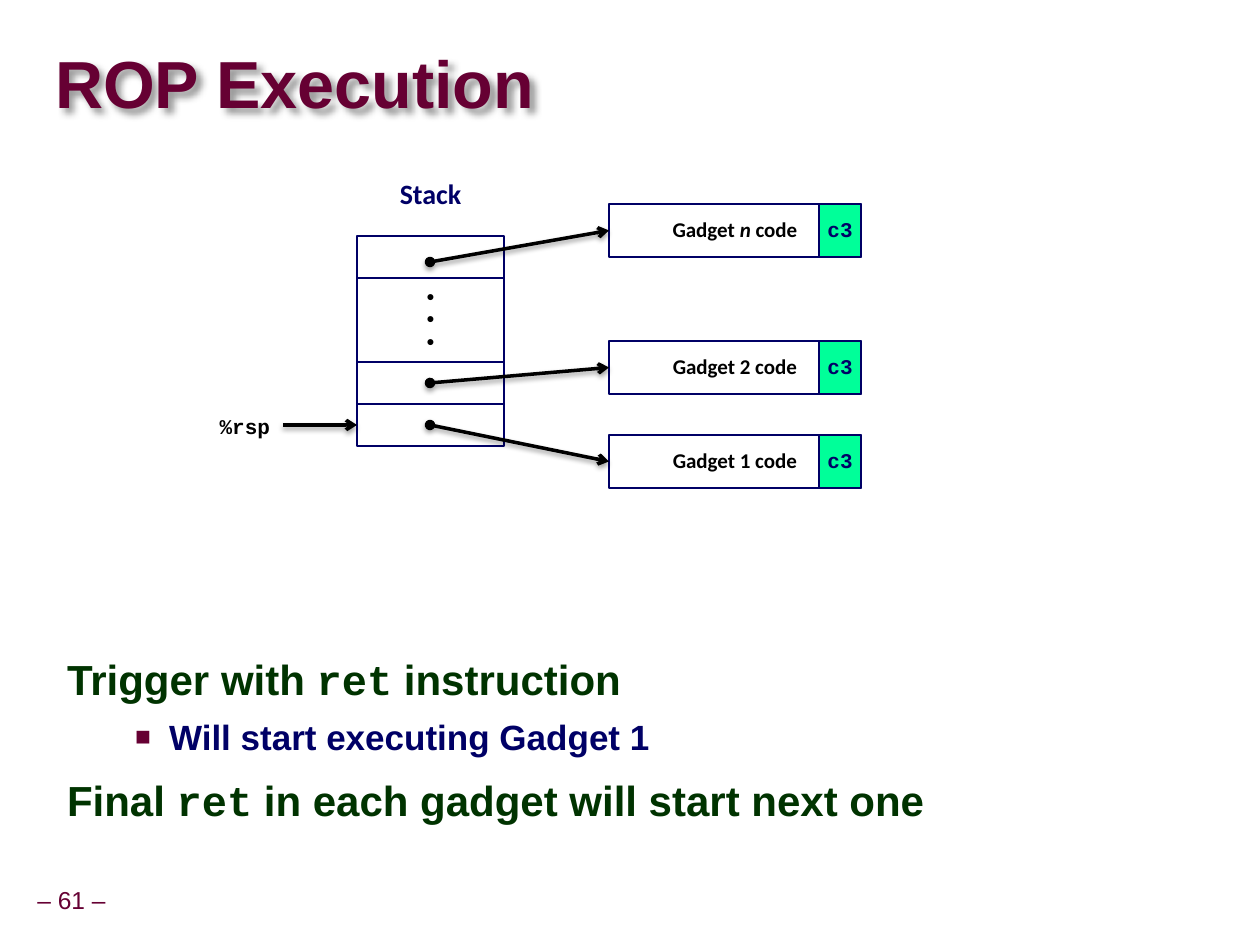
from pptx import Presentation, util as u
from pptx.dml.color import RGBColor
from pptx.enum import shapes, text
from pptx.oxml import parse_xml
from pptx.oxml.ns import nsdecls, qn

PX = 914400 / 126
COLORS = {"maroon": "660033", "green": "003300", "navy": "000066",
          "mint": "00FF99", "black": "000000"}
SANS, LABEL, MONO = "Arial", "Calibri", "Courier New"


def emu(*lengths):
    return [u.Emu(round(n * PX)) for n in lengths]


def rgb(name):
    return RGBColor.from_string(COLORS[name])


def element(xml):
    """Parse one DrawingML element written without its namespace."""
    head, gap, rest = xml.partition(" ")
    return parse_xml(f"{head} {nsdecls('a')} {rest}" if gap else
                     xml.replace("/>", f" {nsdecls('a')}/>"))


def add_shadow(sp, blur, dist, angle, alpha):
    sp._element.spPr.append(parse_xml(
        f'<a:effectLst {nsdecls("a")}><a:outerShdw blurRad="{u.Pt(blur)}" '
        f'dist="{u.Pt(dist)}" dir="{angle * 60000}" algn="tl" rotWithShape="0">'
        f'<a:srgbClr val="{COLORS["black"]}"><a:alpha val="{alpha * 1000}"/>'
        '</a:srgbClr></a:outerShdw></a:effectLst>'))


def add_run(p, words, size, font, color, bold=True, italic=False):
    r = p.add_run()
    r.text = words
    r.font.size, r.font.name = u.Pt(size), font
    r.font.bold, r.font.italic = bold, italic
    r.font.color.rgb = rgb(color)


def frame(sp, insets=(13, 6, 13, 6), anchor=text.MSO_ANCHOR.MIDDLE, wrap=True):
    tf = sp.text_frame
    tf.word_wrap, tf.vertical_anchor = wrap, anchor
    tf.auto_size = text.MSO_AUTO_SIZE.NONE
    tf.margin_left, tf.margin_top, tf.margin_right, tf.margin_bottom = emu(*insets)
    return tf


def label(sp, lines, size, font, color, align=text.PP_ALIGN.CENTER,
          bold=True, **layout):
    """Write lines into a shape; each line is a list of (words, italic)."""
    tf = frame(sp, **layout)
    for i, line in enumerate(lines):
        p = tf.add_paragraph() if i else tf.paragraphs[0]
        p.alignment, p.line_spacing = align, 0.9
        for words, italic in line:
            add_run(p, words, size, font, color, bold, italic)


def add_box(s, box, width=1, fill=None):
    sp = s.shapes.add_shape(shapes.MSO_SHAPE.RECTANGLE, *emu(*box))
    sp.shadow.inherit = False
    if fill:
        sp.fill.solid()
        sp.fill.fore_color.rgb = rgb(fill)
    else:
        sp.fill.background()
    sp.line.color.rgb, sp.line.width = rgb("navy"), u.Pt(width)
    return sp


def add_arrow(s, start, end, target, dot=True):
    """Draw an arrow to the left side of target."""
    c = s.shapes.add_connector(shapes.MSO_CONNECTOR.STRAIGHT, *emu(*start, *end))
    c.end_connect(target, 1)
    c.line.color.rgb, c.line.width = rgb("black"), u.Pt(2)
    ln = c._element.spPr.find(qn("a:ln"))
    if dot:
        ln.append(element('<a:headEnd type="oval"/>'))
    ln.append(element('<a:tailEnd type="arrow"/>'))
    add_shadow(c, 3.1, 1.6, 90, 38)


def add_title(s, box):
    sp = s.shapes.title
    sp.left, sp.top, sp.width, sp.height = emu(*box)
    p = frame(sp, insets=(0, 0, 0, 0)).paragraphs[0]
    p.alignment, p.line_spacing = text.PP_ALIGN.LEFT, 0.87
    add_run(p, "ROP Execution", 38, SANS, "maroon")
    add_shadow(sp, 4, 4, 45, 40)


def add_body(s, box):
    sp = s.placeholders[1]
    sp.left, sp.top, sp.width, sp.height = emu(*box)
    tf = frame(sp, anchor=text.MSO_ANCHOR.TOP)
    items = [(0, ["Trigger with ", "ret", " instruction"]),
             (1, ["Will start executing Gadget 1"]),
             (0, ["Final ", "ret", " in each gadget will start next one"])]
    styles = [(53, -53, 24, "green", 0.95, 12), (102, -34, 20, "navy", 1.0, 6)]
    for i, (level, runs) in enumerate(items):
        margin, indent, size, color, spacing, before = styles[level]
        p = tf.add_paragraph() if i else tf.paragraphs[0]
        p.level, p.line_spacing = level, spacing
        p.space_before = u.Pt(before if i else 0)
        pPr = p._p.get_or_add_pPr()
        for key, value in zip(("marL", "indent"), emu(margin, indent)):
            pPr.set(key, str(value))
        if level:
            pPr.append(parse_xml(f'<a:buClr {nsdecls("a")}><a:srgbClr '
                                 f'val="{COLORS["maroon"]}"/></a:buClr>'))
            pPr.append(element('<a:buSzPct val="75000"/>'))
            pPr.append(element(f'<a:buFont typeface="{SANS}"/>'))
            pPr.append(element('<a:buChar char="■"/>'))
        else:
            pPr.append(element("<a:buNone/>"))
        for words in runs:
            add_run(p, words, size, MONO if words == "ret" else SANS, color)


def add_stack(s, box):
    """Draw the stack and return its slots, top to bottom."""
    x, y, w, h = box
    heading = s.shapes.add_textbox(*emu(x, y - 62, w, 46))
    label(heading, [[("Stack", False)]], 16, LABEL, "navy",
          anchor=text.MSO_ANCHOR.TOP)
    unit = h // 5
    slots = []
    for start, units in ((0, 1), (1, 2), (3, 1), (4, 1)):
        slots.append(add_box(s, (x, y + start * unit, w, units * unit)))
    label(slots[1], [[("•", False)]] * 3, 12, SANS, "black",
          insets=(13, 0, 13, 0), wrap=False)
    return slots


def add_gadget(s, box, name):
    x, y, w, h = box
    ret_w = 42
    ret = add_box(s, (x + w - ret_w, y, ret_w, h), fill="mint")
    label(ret, [[("c3", False)]], 12, MONO, "navy", insets=(0, 6, 0, 6))
    sp = add_box(s, box, width=1.5)
    label(sp, [[("Gadget ", False), (name, name == "n"), (" code", False)]],
          12, LABEL, "black")
    return sp


def add_diagram(s, box):
    x, y, w, h = box
    stack_x, stack_y, stack_w, slot_h = x + 221, y + 62, 147, 42
    gadget_x, gadget_w, gadget_h = x + w - 252, 252, 53
    slots = add_stack(s, (stack_x, stack_y, stack_w, 5 * slot_h))
    rsp_y = stack_y + 9 * slot_h // 2
    for name, top, dot_y in (("1", 261, rsp_y), ("2", 167, rsp_y - slot_h),
                             ("n", 30, stack_y + 26)):
        gadget = add_gadget(s, (gadget_x, y + top, gadget_w, gadget_h), name)
        add_arrow(s, (stack_x + stack_w // 2, dot_y),
                  (gadget_x, y + top + gadget_h // 2), gadget)
    add_arrow(s, (x + 147, rsp_y), (stack_x, rsp_y), slots[-1], dot=False)
    rsp = s.shapes.add_textbox(*emu(x, rsp_y - 18, 147, slot_h))
    label(rsp, [[("%rsp", False)]], 12, MONO, "black", text.PP_ALIGN.RIGHT)


def add_page_number(s, box):
    sp = s.shapes.add_textbox(*emu(*box))
    label(sp, [[("– 61 –", False)]], 14, SANS, "maroon", bold=False,
          insets=(6, 6, 6, 6), wrap=False)


def main():
    prs = Presentation()
    prs.slide_width, prs.slide_height = emu(1260, 945)
    s = prs.slides.add_slide(prs.slide_layouts[1])
    add_page_number(s, (30, 882, 83, 39))
    add_title(s, (55, 34, 1201, 107))
    add_body(s, (54, 651, 1089, 222))
    add_diagram(s, (136, 174, 725, 314))
    prs.save("out.pptx")


if __name__ == "__main__":
    main()
